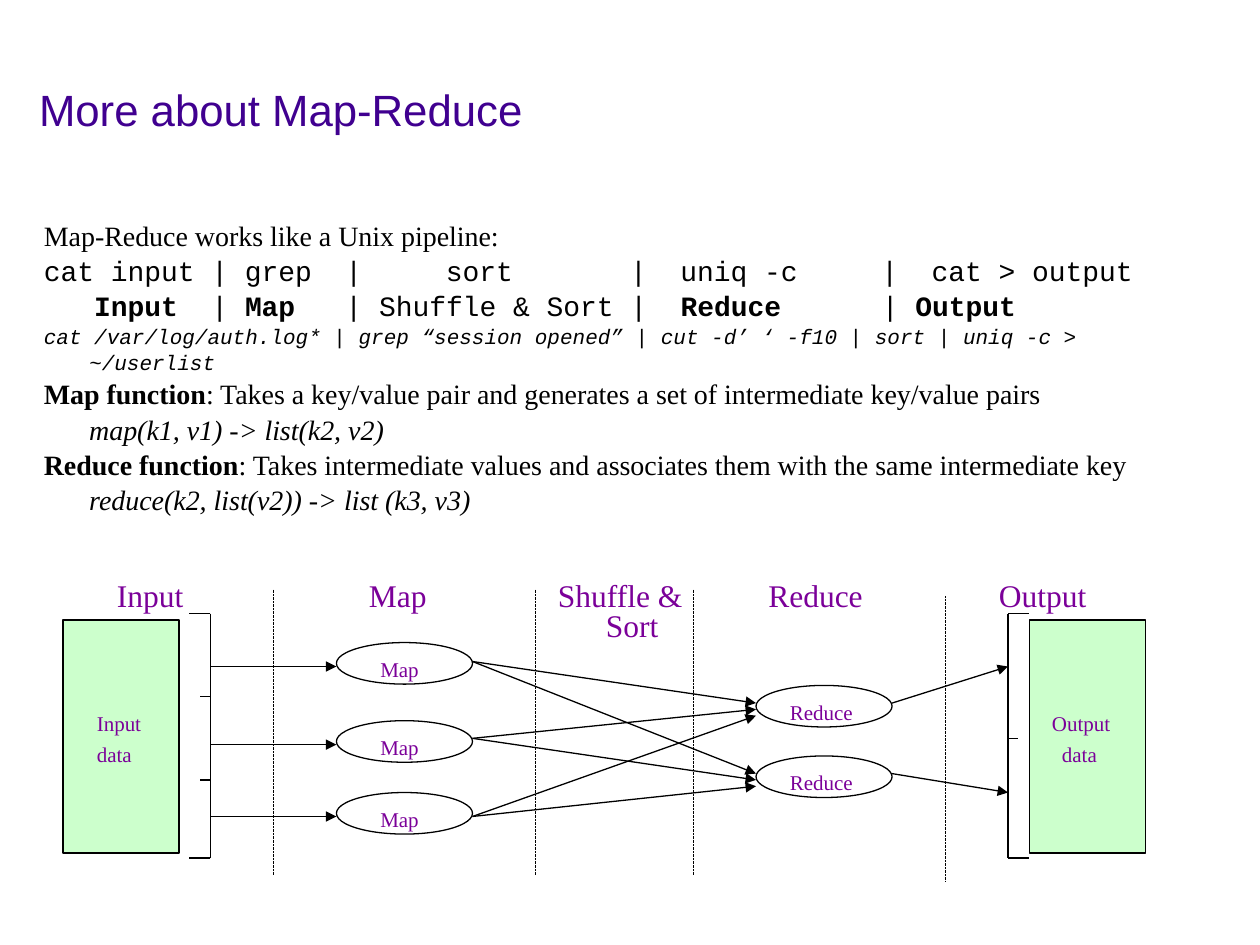
from lxml import etree
from pptx import Presentation
from pptx.dml.color import RGBColor
from pptx.enum.dml import MSO_LINE
from pptx.enum.shapes import MSO_CONNECTOR, MSO_SHAPE
from pptx.enum.text import MSO_ANCHOR, MSO_AUTO_SIZE, PP_ALIGN
from pptx.oxml.ns import qn
from pptx.util import Inches, Pt

BLACK = "000000"
PURPLE = "7B0099"
TITLE_PURPLE = "400090"
GREEN = "CCFFCC"
SERIF = "Times New Roman"
MONO = "Courier New"

PIPELINE = [
    (SERIF, 16, [("Map-Reduce works like a Unix pipeline:", "")]),
    (MONO, 16, [("cat input | grep  |     sort       |  uniq -c     |  cat > output", "")]),
    (MONO, 16, [("   Input  ", "b"), ("| ", ""), ("Map  ", "b"), (" | Shuffle & Sort |  ", ""),
                ("Reduce   ", "b"), ("   | ", ""), ("Output", "b")]),
    (MONO, 12, [("cat /var/log/auth.log* | grep “session opened” | cut -d’ ‘ -f10 "
                 "| sort | uniq -c > ~/userlist", "i")]),
    (SERIF, 16, [("Map function", "b"),
                 (": Takes a key/value pair and generates a set of intermediate key/value pairs", ""),
                 ("\n", ""), ("map(k1, v1) -> list(k2, v2)", "i")]),
    (SERIF, 16, [("Reduce function", "b"),
                 (": Takes intermediate values and associates them with the same intermediate key", ""),
                 ("\n", ""), ("reduce(k2, list(v2)) -> list (k3, v3)", "i")]),
]


def color(value):
    return RGBColor.from_string(value)


def set_font(paragraph, name, size, value):
    paragraph.font.name = name
    paragraph.font.size = Pt(size)
    paragraph.font.color.rgb = color(value)


def set_indent(paragraph, margin, first_line):
    properties = paragraph._p.get_or_add_pPr()
    properties.set("marL", str(Inches(margin)))
    properties.set("indent", str(Inches(first_line)))


def add_text_box(slide, left, top, width, height):
    box = slide.shapes.add_textbox(Inches(left), Inches(top), Inches(width), Inches(height))
    box.text_frame.word_wrap = True
    return box.text_frame


def add_label(slide, left, top, width, height, lines, size=12, last_indent=(0.38, -0.38)):
    frame = add_text_box(slide, left, top, width, height)
    frame.auto_size = MSO_AUTO_SIZE.SHAPE_TO_FIT_TEXT
    for index, line in enumerate(lines):
        paragraph = frame.add_paragraph() if index else frame.paragraphs[0]
        paragraph.text = line
        paragraph.line_spacing = 0.8
        set_indent(paragraph, *(last_indent if index else (0.38, -0.38)))
        if index:
            paragraph.space_before = Pt(size / 2)
        set_font(paragraph, SERIF, size, PURPLE)


def add_outlined(slide, kind, left, top, width, height, fill=None):
    shape = slide.shapes.add_shape(kind, Inches(left), Inches(top), Inches(width), Inches(height))
    shape.shadow.inherit = False
    shape.line.color.rgb = color(BLACK)
    shape.line.width = Pt(0.75)
    if fill:
        shape.fill.solid()
        shape.fill.fore_color.rgb = color(fill)
    else:
        shape.fill.background()


def add_line(slide, start, end, arrow=False, dashed=False):
    line = slide.shapes.add_connector(
        MSO_CONNECTOR.STRAIGHT, *(Inches(value) for value in (*start, *end)))
    line.line.color.rgb = color(BLACK)
    line.line.width = Pt(0.1 if dashed else 0.75)
    if dashed:
        line.line.dash_style = MSO_LINE.DASH
    if arrow:
        etree.SubElement(line.line._get_or_add_ln(), qn("a:tailEnd"), type="triangle")
    etree.SubElement(line._element.spPr, qn("a:effectLst"))


def add_title(slide, left, top, width, height):
    title = slide.shapes.title
    title.left, title.top = Inches(left), Inches(top)
    title.width, title.height = Inches(width), Inches(height)
    frame = title.text_frame
    frame.text = "More about Map-Reduce"
    frame.auto_size = MSO_AUTO_SIZE.NONE
    frame.vertical_anchor = MSO_ANCHOR.TOP
    frame.margin_left = frame.margin_right = frame.margin_top = frame.margin_bottom = 0
    paragraph = frame.paragraphs[0]
    paragraph.alignment = PP_ALIGN.LEFT
    set_font(paragraph, "Arial", 25, TITLE_PURPLE)


def add_explanation(slide, left, top, width, height):
    frame = add_text_box(slide, left, top, width, height)
    for index, (name, size, pieces) in enumerate(PIPELINE):
        paragraph = frame.add_paragraph() if index else frame.paragraphs[0]
        paragraph.line_spacing = 1.05
        set_indent(paragraph, 0.36, -0.36)
        set_font(paragraph, name, size, BLACK)
        for text, style in pieces:
            if text == "\n":
                paragraph.add_line_break()
                continue
            run = paragraph.add_run()
            run.text = text
            if style:
                run.font.bold = style == "b"
                run.font.italic = style == "i"


def add_data_block(slide, left, top, width, height, lines, label, last_indent=(0.38, -0.38)):
    add_outlined(slide, MSO_SHAPE.RECTANGLE, left, top, width, height, GREEN)
    offset, label_width = label
    add_label(slide, left + offset, top + 0.71, label_width, 0.5, lines, last_indent=last_indent)


def add_bracket(slide, spine, top, height, direction, ticks):
    add_line(slide, (spine, top), (spine, top + height))
    for offset in (0, height):
        add_line(slide, (spine, top + offset), (spine + direction * 0.17, top + offset))
    for offset in ticks:
        add_line(slide, (spine, top + offset), (spine + direction * 0.08, top + offset))


def add_node(slide, left, top, text, label_offset, label_width):
    add_outlined(slide, MSO_SHAPE.OVAL, left, top, 1.08, 0.33)
    add_label(slide, left + label_offset, top + 0.1, label_width, 0.25, [text])


def add_diagram(slide, left, top):
    headings = [("Input", 0.33, 1.17), ("Map", 2.33, 1.17), ("Shuffle & Sort", 3.83, 1.33),
                ("Reduce", 5.5, 1.33), ("Output", 7.33, 1.33)]
    for text, offset, width in headings:
        height = 0.56 if "&" in text else 0.33
        add_label(slide, left + offset, top, width, height, [text], size=18)

    for offset, drop in ((1.67, 0.1), (3.75, 0.1), (5, 0.1), (7, 0.15)):
        x = left + offset
        add_line(slide, (x, top + drop), (x, top + drop + 2.27), dashed=True)

    add_data_block(slide, left, top + 0.34, 0.92, 1.85, ["Input", "data"], (0.17, 0.58))
    add_data_block(slide, left + 7.67, top + 0.34, 0.92, 1.85, ["Output", "data"],
                   (0.08, 0.75), last_indent=(0.08, 0))
    input_spine, output_spine = left + 1.17, left + 7.5
    add_bracket(slide, input_spine, top + 0.29, 1.94, -1, [0.66, 1.32])
    add_bracket(slide, output_spine, top + 0.29, 1.94, 1, [0.99])

    map_left, reduce_left = left + 2.17, left + 5.5
    reducers = [(0.86, 0.71), (1.42, 1.71)]
    for index, (offset, exit_offset) in enumerate([(0.52, 0.67), (1.14, 1.28), (1.71, 1.9)]):
        node_top = top + offset
        add_node(slide, map_left, node_top, "Map", 0.25, 0.67)
        add_line(slide, (input_spine, node_top + 0.19), (map_left, node_top + 0.19), arrow=True)
        for reduce_offset, _ in reducers:
            target = top + reduce_offset + 0.14 + 0.05 * index
            add_line(slide, (map_left + 1.08, top + exit_offset), (reduce_left, target), arrow=True)
    for offset, output_offset in reducers:
        add_node(slide, reduce_left, top + offset, "Reduce", 0.17, 0.92)
        add_line(slide, (reduce_left + 1.08, top + offset + 0.14),
                 (output_spine, top + output_offset), arrow=True)


def main():
    presentation = Presentation()
    presentation.slide_width, presentation.slide_height = Inches(10), Inches(7.5)
    slide = presentation.slides.add_slide(presentation.slide_layouts[5])
    add_title(slide, 0.31, 0.66, 9.32, 1.18)
    add_explanation(slide, 0.25, 1.67, 9.17, 2.92)
    add_diagram(slide, 0.5, 4.58)
    presentation.save("out.pptx")


if __name__ == "__main__":
    main()
